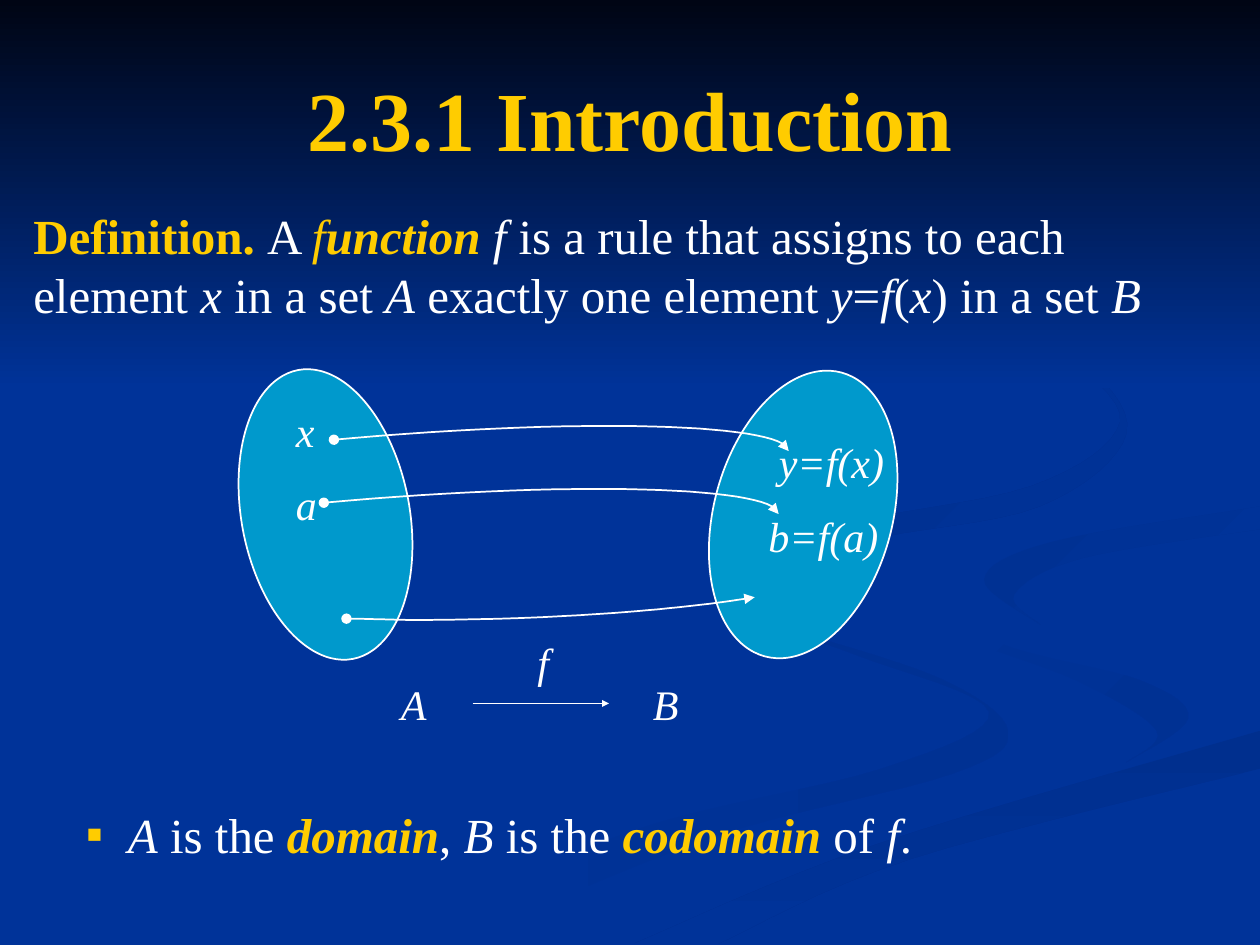
from typing import NamedTuple, Optional, Sequence

from lxml import etree
from pptx import Presentation
from pptx import util as u
from pptx.dml.color import RGBColor
from pptx.enum import shapes, text
from pptx.oxml.ns import qn

NAVY = RGBColor(0x00, 0x33, 0x99)
MIDNIGHT = RGBColor(0x00, 0x05, 0x14)
SHADE = RGBColor(0x00, 0x2F, 0x8E)
SOFT_SHADE = RGBColor(0x00, 0x31, 0x93)
TEAL = RGBColor(0x00, 0x99, 0xCC)
GOLD = RGBColor(0xFF, 0xCC, 0x00)
WHITE = RGBColor(0xFF, 0xFF, 0xFF)
FONT = "Times New Roman"
COLUMNS, ROWS = 120, 90
CELL = u.Inches(10) // COLUMNS

Point = tuple[float, float]


class Box(NamedTuple):
    column: float
    row: float
    columns: float
    rows: float


class Run(NamedTuple):
    words: str
    italic: bool = False
    bold: bool = False
    color: RGBColor = WHITE


class Ribbon(NamedTuple):
    start: RGBColor
    end: RGBColor
    angle: int
    there: Sequence[Point]
    back: Sequence[Point]


class Oval(NamedTuple):
    box: Box
    rotation: float


class Label(NamedTuple):
    words: str
    box: Box


RIBBONS = [
    Ribbon(NAVY, SOFT_SHADE, 0,
           [(5.75, 4.6), (5.8, 4.84), (6.8, 5.2), (7.85, 5.65), (7, 6.1), (5, 6.6), (3, 7.49)],
           [(3.6, 7.49), (5.64, 6.65), (7.56, 6.14), (8, 5.8), (7.45, 5.38), (6.14, 4.96)]),
    Ribbon(NAVY, SOFT_SHADE, 45,
           [(7.24, 4.64), (7.92, 5.1), (9.05, 5.4), (9.43, 5.7), (8.94, 6.05)],
           [(8.94, 6.05), (9.18, 5.8), (8.54, 5.4), (7.55, 5.05)]),
    Ribbon(SHADE, NAVY, 90,
           [(5.03, 7.49), (6.96, 6.7), (10, 5.8)], [(10, 6.1), (7.22, 6.82), (5.7, 7.49)]),
    Ribbon(SOFT_SHADE, NAVY, 45,
           [(8.26, 4.96), (7.81, 4.6), (8.35, 4.3), (10, 4.02)],
           [(10, 4.2), (8.59, 4.43), (8.05, 4.72), (8.26, 4.96)]),
    Ribbon(SHADE, NAVY, 45,
           [(7.62, 2.33), (8.54, 2.83), (8.94, 3.44), (8.25, 4.02), (6.83, 4.3), (5.95, 4.65),
            (6.22, 5)],
           [(6.22, 5), (5.77, 4.6), (6.49, 4.2), (8.18, 3.86), (8.89, 3.35), (8.46, 2.8)]),
]
OVALS = [Oval(Box(23, 35, 16, 28), 349.3), Oval(Box(68, 35, 17, 28), 15.1)]
UPPER_CURVE = [(2.65, 3.49), (4.62, 3.31), (6.24, 3.36), (6.26, 3.58)]
CURVES = [
    [(x - 0.08, y + 0.5) for x, y in UPPER_CURVE],
    UPPER_CURVE,
    [(2.75, 4.91), (2.93, 4.91), (3.11, 4.92), (3.3, 4.92),
     (4.33, 4.92), (5.32, 4.85), (5.99, 4.74)],
]
LABELS = [
    Label("x", Box(27, 38, 5, 6)),
    Label("a", Box(27, 45, 5, 6)),
    Label("y=f(x)", Box(73, 41, 13, 6)),
    Label("b=f(a)", Box(72, 48, 14, 6)),
    Label("A", Box(37, 64, 6, 6)),
    Label("B", Box(61, 64, 6, 6)),
    Label("f", Box(50, 60, 6, 6)),
]
DEFINITION = [
    Run("Definition. ", bold=True, color=GOLD), Run("A "), Run("f", True, color=GOLD),
    Run("unction ", True, True, GOLD), Run("f", True),
    Run(" is a rule that assigns to each element "), Run("x", True), Run(" in a set "),
    Run("A", True), Run(" exactly one element "), Run("y", True), Run("="),
    Run("f", True), Run("("), Run("x", True), Run(") in a set "), Run("B", True),
]
DOMAINS = [
    Run("A", True), Run(" is the "), Run("domain", True, True, GOLD), Run(", "),
    Run("B", True), Run(" is the "), Run("codomain", True, True, GOLD), Run(" of "),
    Run("f", True), Run("."),
]


def place(box: Box) -> list[int]:
    return [u.Emu(round(cells * CELL)) for cells in box]


def write(paragraph, runs: Sequence[Run], size: float) -> None:
    for part in runs:
        run = paragraph.add_run()
        run.text = part.words
        font = run.font
        font.name, font.size = FONT, u.Pt(size)
        font.bold, font.italic = part.bold, part.italic
        font.color.rgb = part.color


def add_text(slide, box: Box, runs: Sequence[Run], size: float, bullet: Optional[str] = None) -> None:
    frame = slide.shapes.add_textbox(*place(box)).text_frame
    frame.word_wrap = True
    paragraph = frame.paragraphs[0]
    if bullet:
        properties = paragraph._p.get_or_add_pPr()
        properties.set("marL", str(4 * CELL))
        properties.set("indent", str(-4 * CELL))
        color = etree.SubElement(properties, qn("a:buClr"))
        etree.SubElement(color, qn("a:srgbClr"), val=str(GOLD))
        etree.SubElement(properties, qn("a:buFont"), typeface=FONT)
        etree.SubElement(properties, qn("a:buChar"), char=bullet)
    write(paragraph, runs, size)


def bezier(controls: Sequence[Point], t: float) -> Point:
    weights = ((1 - t) ** 3, 3 * t * (1 - t) ** 2, 3 * t * t * (1 - t), t ** 3)
    x, y = (sum(w * value for w, value in zip(weights, axis)) for axis in zip(*controls))
    return x, y


def trace(controls: Sequence[Point], steps: int) -> list[Point]:
    points = [controls[0]]
    for first in range(0, len(controls) - 1, 3):
        points += [bezier(controls[first:first + 4], step / steps) for step in range(1, steps + 1)]
    return points


def spline(knots: Sequence[Point]) -> list[Point]:
    padded = [knots[0], *knots, knots[-1]]
    controls = [knots[0]]
    for before, start, end, after in zip(padded, padded[1:], padded[2:], padded[3:]):
        controls += [
            (start[0] + (end[0] - before[0]) / 6, start[1] + (end[1] - before[1]) / 6),
            (end[0] - (after[0] - start[0]) / 6, end[1] - (after[1] - start[1]) / 6),
            end,
        ]
    return controls


def add_outline(slide, points: Sequence[Point], close: bool):
    start, *rest = [(x * 1000, y * 1000) for x, y in points]
    builder = slide.shapes.build_freeform(*start, scale=u.Inches(1) / 1000)
    builder.add_line_segments(rest, close=close)
    return builder.convert_to_shape()


def shade(shape, start: RGBColor, end: RGBColor, angle: int) -> None:
    shape.shadow.inherit = False
    shape.line.fill.background()
    shape.fill.gradient()
    shape.fill.gradient_angle = -angle % 360
    for stop, color, position in zip(shape.fill.gradient_stops, (start, end), (0, 1)):
        stop.color.rgb, stop.position = color, position


def add_ribbon(slide, ribbon: Ribbon) -> None:
    points = trace(spline(ribbon.there), 8) + trace(spline(ribbon.back), 8)
    shade(add_outline(slide, points, True), ribbon.start, ribbon.end, ribbon.angle)


def draw_line(line, size: str = "med", **ends: str) -> None:
    line.color.rgb = WHITE
    line.width = u.Pt(1)
    for end, kind in ends.items():
        etree.SubElement(line._get_or_add_ln(), qn(f"a:{end}"), type=kind, w=size, len=size)


def add_oval(slide, oval: Oval) -> None:
    shape = slide.shapes.add_shape(shapes.MSO_SHAPE.OVAL, *place(oval.box))
    shape.shadow.inherit = False
    shape.rotation = oval.rotation
    shape.fill.solid()
    shape.fill.fore_color.rgb = TEAL
    draw_line(shape.line)


def add_curve(slide, controls: Sequence[Point]) -> None:
    shape = add_outline(slide, trace(controls, 30), False)
    shape.shadow.inherit = False
    shape.fill.background()
    draw_line(shape.line, headEnd="oval", tailEnd="triangle")


def add_arrow(slide, start: Point, end: Point) -> None:
    ends = [u.Emu(cells * CELL) for cells in (*start, *end)]
    connector = slide.shapes.add_connector(shapes.MSO_CONNECTOR.STRAIGHT, *ends)
    draw_line(connector.line, size="sm", tailEnd="triangle")
    etree.SubElement(connector._element.spPr, qn("a:effectLst"))


def add_title(slide, box: Box, words: str) -> None:
    title = slide.shapes.title
    title.left, title.top, title.width, title.height = place(box)
    title.text_frame.vertical_anchor = text.MSO_ANCHOR.MIDDLE
    paragraph = title.text_frame.paragraphs[0]
    paragraph.alignment = text.PP_ALIGN.CENTER
    write(paragraph, [Run(words, bold=True, color=GOLD)], 48)
    slide.shapes._spTree.append(title._element)


def main() -> None:
    presentation = Presentation()
    presentation.slide_width, presentation.slide_height = COLUMNS * CELL, ROWS * CELL
    slide = presentation.slides.add_slide(presentation.slide_layouts[5])
    slide.background.fill.solid()
    slide.background.fill.fore_color.rgb = NAVY
    for ribbon in RIBBONS:
        add_ribbon(slide, ribbon)
    sky = slide.shapes.add_shape(shapes.MSO_SHAPE.RECTANGLE, *place(Box(0, 0, COLUMNS, 37)))
    shade(sky, MIDNIGHT, NAVY, 90)
    add_title(slide, Box(6, 5, 108, 12.4), "2.3.1 Introduction")
    add_text(slide, Box(2, 19, 115, 12.4), DEFINITION, 28)
    for oval in OVALS:
        add_oval(slide, oval)
    for controls in CURVES:
        add_curve(slide, controls)
    for label in LABELS:
        add_text(slide, label.box, [Run(label.words, True)], 24)
    add_arrow(slide, (45, 67), (58, 67))
    add_text(slide, Box(7, 76, 105, 6.8), DOMAINS, 28, bullet="▪")
    presentation.save("out.pptx")


if __name__ == "__main__":
    main()
